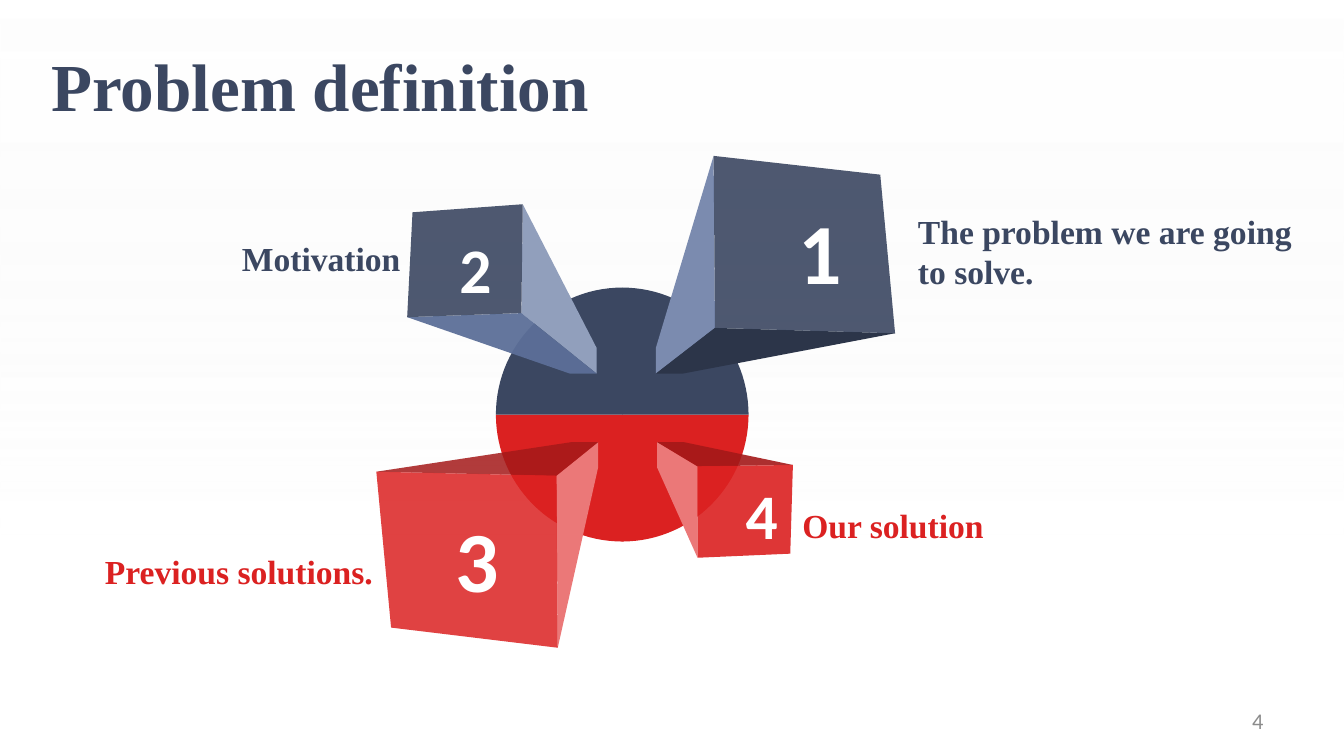
import math

from lxml import etree
from pptx import Presentation
from pptx.dml.color import RGBColor
from pptx.enum.shapes import MSO_SHAPE
from pptx.enum.text import MSO_ANCHOR, MSO_AUTO_SIZE, PP_ALIGN
from pptx.oxml.ns import qn
from pptx.util import Inches, Pt

RECT = MSO_SHAPE.RECTANGLE
TOP, MIDDLE, BOTTOM = MSO_ANCHOR.TOP, MSO_ANCHOR.MIDDLE, MSO_ANCHOR.BOTTOM
LEFT, RIGHT = PP_ALIGN.LEFT, PP_ALIGN.RIGHT
NO_FIT = MSO_AUTO_SIZE.NONE
SERIF, SANS = "Times New Roman", "Calibri"
WIDTH = 10
HEIGHT = WIDTH * 9 / 16
COLORS = {
    "white": "FFFFFF", "mist": "F2F2F2", "gray": "8C8C8C",
    "navy": "3B4761", "ink": "2C3549", "steel": "7B8BAF",
    "slate": "5C6F98", "haze": "919FBC",
    "red": "DB2121", "wine": "A41919", "pink": "EB7878",
}

# Face box; corners from inner far edge round to outer far edge; root corner;
# number, its place and size; (colour, opacity) of side, floor and face.
# Corners, root and number place are offsets from the face box.
BARS = [
    ((5.31, 1.16, 1.35, 1.32), [(0, 0), (0.01, 1.28), (1.35, 1.32), (1.24, 0.14)],
     (-0.43, 1.62), "1", (0.53, 0.27, 0.47, 0.76), 45.9,
     [("steel", 100), ("ink", 100), ("navy", 90)]),
    ((3.03, 1.52, 0.86, 0.84), [(0.86, 0), (0.85, 0.81), (0, 0.84), (0.04, 0.06)],
     (1.41, 1.26), "2", (0.29, 0.14, 0.39, 0.58), 34,
     [("haze", 100), ("slate", 95), ("navy", 90)]),
    ((2.8, 3.51, 1.35, 1.32), [(1.35, 1.31), (1.34, 0.03), (0, 0), (0.11, 1.16)],
     (1.65, -0.22), "3", (0.49, 0.21, 0.47, 0.76), 45.9,
     [("pink", 100), ("wine", 85), ("red", 85)]),
    ((5.19, 3.46, 0.71, 0.69), [(0, 0.69), (0, 0.01), (0.71, 0), (0.69, 0.66)],
     (-0.3, -0.17), "4", (0.26, 0.03, 0.39, 0.58), 34,
     [("pink", 100), ("wine", 90), ("red", 90)]),
]
LABELS = [
    ("Our solution", (5.92, 3.76, 1.4, 0.3), "red", RIGHT, TOP),
    ("Previous solutions.", (0.78, 4.16, 2.85, 0.24), "red", LEFT, BOTTOM),
    ("Motivation", (1.76, 1.77, 1.22, 0.56), "navy", RIGHT, TOP),
    ("The problem we are going to solve.", (6.83, 1.57, 2.85, 0.56), "navy", LEFT, TOP),
]


def rgb(name):
    return RGBColor.from_string(COLORS[name])


def fade(color, share):
    """Set the opacity, in percent, of each colour element under color."""
    for node in color.iter(qn("a:srgbClr")):
        etree.SubElement(node, qn("a:alpha")).set("val", str(share * 1000))


def style(para, size, color, font=SERIF, bold=True, align=LEFT):
    para.alignment = align
    para.font.size, para.font.name, para.font.bold = Pt(size), font, bold
    para.font.color.rgb = rgb(color)


def add_text(slide, text, box, size, color, anchor=TOP, inset=0.0, wrap=True, **look):
    frame = slide.shapes.add_textbox(*map(Inches, box)).text_frame
    frame.word_wrap = wrap
    frame.vertical_anchor = anchor
    frame.margin_left = frame.margin_right = Inches(inset)
    frame.margin_top = frame.margin_bottom = Inches(inset / 2)
    frame.text = text
    style(frame.paragraphs[0], size, color, **look)


def add_poly(slide, points, color, share=100):
    spots = [(Inches(x), Inches(y)) for x, y in points]
    pen = slide.shapes.build_freeform(*spots[0])
    pen.add_line_segments(spots[1:], close=True)
    shape = pen.convert_to_shape()
    shape.shadow.inherit = False
    shape.line.fill.background()
    shape.fill.solid()
    shape.fill.fore_color.rgb = rgb(color)
    if share < 100:
        fade(shape.element.spPr, share)


def add_back(slide, box):
    """Lay a faint vertical gradient behind everything."""
    back = slide.shapes.add_shape(RECT, *map(Inches, box))
    back.shadow.inherit = False
    back.line.fill.background()
    back.fill.gradient()
    back.fill.gradient_angle = 270
    looks = [(0, "white", 55), (0.71, "mist", 0)]
    nodes = back.element.spPr.iter(qn("a:gs"))
    for stop, node, look in zip(back.fill.gradient_stops, nodes, looks):
        stop.position, color, share = look
        stop.color.rgb = rgb(color)
        fade(node, share)
    slide.shapes.title.element.addprevious(back.element)


def add_title(slide, text, box):
    title = slide.shapes.title
    title.left, title.top, title.width, title.height = map(Inches, box)
    frame = title.text_frame
    frame.auto_size = NO_FIT
    frame.vertical_anchor = TOP
    frame.text = text
    style(frame.paragraphs[0], 36, "navy")


def add_hub(slide, box):
    """Draw a disc of four quarters, red below and navy above."""
    left, top, width, height = box
    mid_x, mid_y = left + width / 2, top + height / 2
    for part, color in enumerate(["red", "red", "navy", "navy"]):
        turns = [math.radians(90 * part + 3 * step) for step in range(31)]
        arc = [(mid_x + width / 2 * math.cos(turn), mid_y + height / 2 * math.sin(turn))
               for turn in turns]
        add_poly(slide, [(mid_x, mid_y)] + arc, color)


def add_bar(slide, box, corners, root, mark, spot, size, looks):
    """Draw a numbered block that tapers from its face to its root."""
    left, top = box[:2]
    far, near, out, end = [(left + x, top + y) for x, y in corners]
    root_x, root_y = left + root[0], top + root[1]
    rise = (root_x, root_y + math.copysign(0.19, far[1] - near[1]))
    run = (root_x + math.copysign(0.2, out[0] - near[0]), root_y)
    sides = [
        [far, rise, (root_x, root_y), near],
        [near, (root_x, root_y), run, out],
        [far, near, out, end],
    ]
    for points, look in zip(sides, looks):
        add_poly(slide, points, *look)
    place = (left + spot[0], top + spot[1], *spot[2:])
    add_text(slide, mark, place, size, "white", inset=0.1, wrap=False, font=SANS)


def main():
    deck = Presentation()
    deck.slide_width, deck.slide_height = Inches(WIDTH), Inches(HEIGHT)
    slide = deck.slides.add_slide(deck.slide_layouts[5])
    add_title(slide, "Problem definition", (0.28, 0.28, 5.75, 0.71))
    add_back(slide, (0, 0, WIDTH, HEIGHT))
    add_hub(slide, (3.69, 2.14, 1.88, 1.89))
    for bar in BARS:
        add_bar(slide, *bar)
    for text, box, color, align, anchor in LABELS:
        add_text(slide, text, box, 18, color, anchor, align=align)
    add_text(slide, "4", (7.17, 5.21, 2.33, 0.3), 12, "gray", MIDDLE, 0.1,
             font=SANS, bold=False, align=RIGHT)
    deck.save("out.pptx")


if __name__ == "__main__":
    main()
